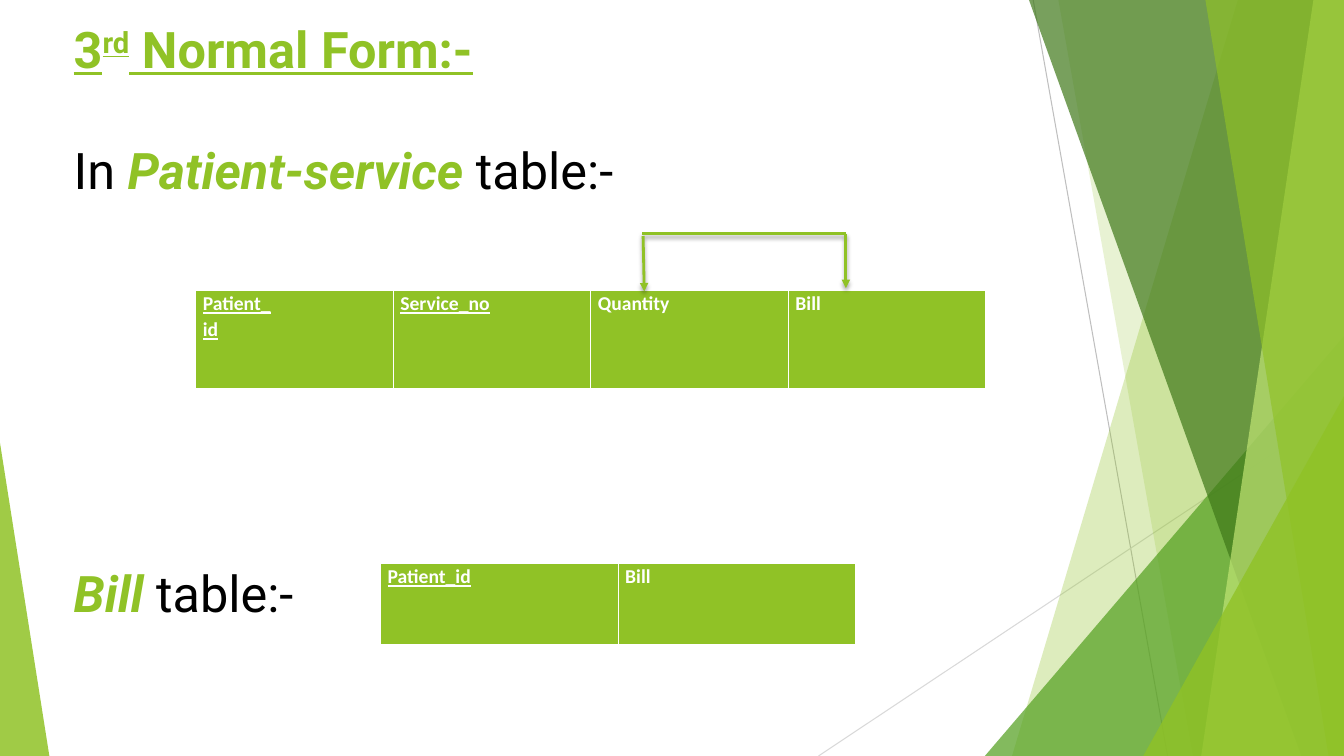
from dataclasses import dataclass

from lxml import etree
from pptx import Presentation
from pptx import util as u
from pptx.dml.color import RGBColor
from pptx.enum import shapes, text
from pptx.oxml import ns

WIDTH, HEIGHT = u.Inches(13.33), u.Inches(7.5)
COLUMNS, ROWS = 160, 90
COLORS = {
    "lime": "90C226", "green": "54A021", "forest": "3F7819", "pale": "C0E474",
    "silver": "BFBFBF", "mist": "D9D9D9", "white": "FFFFFF", "black": "000000",
}


@dataclass(frozen=True)
class Ray:
    start: tuple[float, float]
    end: tuple[float, float]
    color: str
    points: float
    arrow: bool = False
    shadow: bool = False


@dataclass(frozen=True)
class Band:
    top: float
    bottom: float
    color: str
    opacity: int


@dataclass(frozen=True)
class Wedge:
    left: float
    top: float
    width: float
    apex: float
    color: str
    opacity: int


@dataclass(frozen=True)
class Span:
    words: str
    accent: bool = False
    italic: bool = False
    underline: bool = False
    raised: bool = False


@dataclass(frozen=True)
class Heading:
    gap: float
    spans: tuple[Span, ...]


@dataclass(frozen=True)
class Field:
    lines: tuple[str, ...]
    key: bool = False


@dataclass(frozen=True)
class Relation:
    left: float
    top: float
    column: float
    height: float
    fields: tuple[Field, ...]


BACKDROP = (
    Ray((123, 0), (139, 90), "silver", 0.75),
    Ray((160, 48.36), (97.44, 90), "mist", 0.75),
    Band(147.36, 120.48, "lime", 30),
    Band(126, 142, "lime", 20),
    Wedge(117.24, 40, 42.76, 1, "green", 72),
    Band(122.5, 154.92, "forest", 70),
    Band(156.36, 143, "pale", 70),
    Band(143.5, 158.16, "lime", 65),
    Wedge(136.1, 47.16, 23.9, 1, "lime", 80),
    Wedge(0, 52.7, 5.88, 0, "lime", 85),
)
HEADINGS = (
    Heading(0, (
        Span("3", accent=True, underline=True),
        Span("rd", accent=True, underline=True, raised=True),
        Span(" Normal Form:-", accent=True, underline=True),
    )),
    Heading(43.2, (Span("In "), Span("Patient-service ", accent=True, italic=True), Span("table:-"))),
    Heading(259.2, (Span("Bill ", accent=True, italic=True), Span("table:-"))),
)
RELATIONS = (
    Relation(23.3, 34.6, 23.52, 11.76, (
        Field(("Patient_", "id"), key=True),
        Field(("Service_no",), key=True),
        Field(("Quantity",)),
        Field(("Bill",)),
    )),
    Relation(45.3, 67.1, 28.3, 9.84, (Field(("Patient_id",), key=True), Field(("Bill",)))),
)
DEPENDENCY = (
    Ray((76.44, 27.84), (100.7, 27.84), "lime", 2, shadow=True),
    Ray((76.56, 28.1), (76.7, 34.7), "lime", 2, arrow=True, shadow=True),
    Ray((100.7, 27.84), (100.7, 34.3), "lime", 2, arrow=True, shadow=True),
)


def col(count: float) -> int:
    return round(WIDTH * count / COLUMNS)


def row(count: float) -> int:
    return round(HEIGHT * count / ROWS)


def rgb(name: str) -> RGBColor:
    return RGBColor.from_string(COLORS[name])


def add_node(parent, tag: str, **attributes):
    return etree.SubElement(parent, ns.qn(tag), {key: str(value) for key, value in attributes.items()})


def add_color(parent, name: str):
    return add_node(parent, "a:srgbClr", val=COLORS[name])


def draw_ray(page, ray: Ray) -> None:
    line = page.shapes.add_connector(
        shapes.MSO_CONNECTOR.STRAIGHT,
        col(ray.start[0]), row(ray.start[1]), col(ray.end[0]), row(ray.end[1]),
    )
    line.line.color.rgb = rgb(ray.color)
    line.line.width = u.Pt(ray.points)
    if ray.arrow:
        add_node(line.line._get_or_add_ln(), "a:tailEnd", type="triangle")
    effects = add_node(line._element.spPr, "a:effectLst")
    if ray.shadow:
        shadow = add_node(effects, "a:outerShdw", blurRad=u.Pt(3), dist=u.Pt(2), dir=5400000, rotWithShape=0)
        add_node(add_color(shadow, "black"), "a:alpha", val=35000)


def paint(shape, color: str, opacity: int) -> None:
    shape.shadow.inherit = False
    shape.fill.solid()
    shape.fill.fore_color.rgb = rgb(color)
    shape.line.fill.background()
    tint = shape._element.spPr.find(ns.qn("a:solidFill"))[0]
    add_node(tint, "a:alpha", val=opacity * 1000)


def draw_band(page, band: Band) -> None:
    outline = page.shapes.build_freeform(col(band.top), 0)
    outline.add_line_segments([(WIDTH, 0), (WIDTH, HEIGHT), (col(band.bottom), HEIGHT)])
    paint(outline.convert_to_shape(), band.color, band.opacity)


def draw_wedge(page, wedge: Wedge) -> None:
    triangle = page.shapes.add_shape(
        shapes.MSO_SHAPE.ISOSCELES_TRIANGLE,
        col(wedge.left), row(wedge.top), col(wedge.width), row(ROWS - wedge.top),
    )
    triangle.adjustments[0] = wedge.apex
    paint(triangle, wedge.color, wedge.opacity)


def write_title(page) -> None:
    box = page.shapes.title
    page.shapes._spTree.append(box._element)
    box.left, box.top, box.width, box.height = col(7.56), row(1.56), col(137.88), row(84.12)
    frame = box.text_frame
    frame.word_wrap = True
    frame.auto_size = text.MSO_AUTO_SIZE.NONE
    frame.vertical_anchor = text.MSO_ANCHOR.TOP
    for index, heading in enumerate(HEADINGS):
        para = frame.add_paragraph() if index else frame.paragraphs[0]
        para.alignment = text.PP_ALIGN.LEFT
        para.space_before = u.Pt(heading.gap)
        para.font.name, para.font.size = "Roboto", u.Pt(36)
        for span in heading.spans:
            run = para.add_run()
            run.text = span.words
            run.font.bold, run.font.italic = span.accent, span.italic
            run.font.underline = span.underline
            run.font.color.rgb = rgb("lime" if span.accent else "black")
            if span.raised:
                run.font._element.set("baseline", "30000")


def fill_cell(cell, field: Field) -> None:
    properties = cell._tc.get_or_add_tcPr()
    for side, points in (("L", 1), ("R", 1), ("T", 1), ("B", 3)):
        border = add_node(properties, f"a:ln{side}", w=u.Pt(points))
        add_color(add_node(border, "a:solidFill"), "white")
    cell.fill.solid()
    cell.fill.fore_color.rgb = rgb("lime")
    cell.margin_left = cell.margin_right = u.Inches(0.07)
    cell.margin_top = cell.margin_bottom = 0
    cell.text_frame.text = "\n".join(field.lines)
    for para in cell.text_frame.paragraphs:
        para.line_spacing = 1.07
        font = para.font
        font.name, font.size, font.bold = "Calibri", u.Pt(14), True
        font.underline = field.key
        font.color.rgb = rgb("white")


def draw_relation(page, relation: Relation) -> None:
    count = len(relation.fields)
    table = page.shapes.add_table(
        1, count, col(relation.left), row(relation.top), col(relation.column * count), row(relation.height),
    ).table
    table.first_row = table.horz_banding = False
    for index, field in enumerate(relation.fields):
        fill_cell(table.cell(0, index), field)


def main() -> None:
    deck = Presentation()
    deck.slide_width, deck.slide_height = WIDTH, HEIGHT
    page = deck.slides.add_slide(deck.slide_layouts[5])
    painters = {Ray: draw_ray, Band: draw_band, Wedge: draw_wedge}
    for piece in BACKDROP:
        painters[type(piece)](page, piece)
    write_title(page)
    for relation in RELATIONS:
        draw_relation(page, relation)
    for ray in DEPENDENCY:
        draw_ray(page, ray)
    deck.save("out.pptx")


if __name__ == "__main__":
    main()
